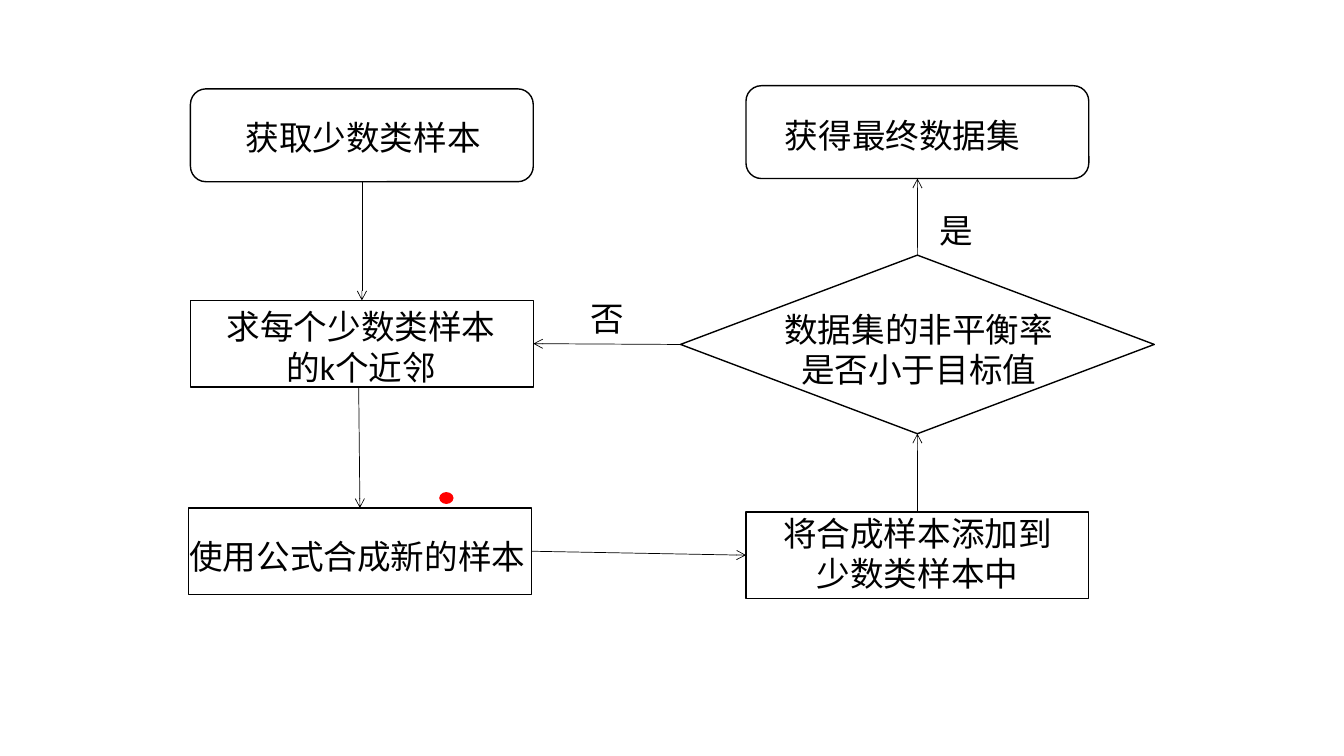
from lxml import etree
from pptx import Presentation
from pptx.dml.color import RGBColor
from pptx.enum.shapes import MSO_CONNECTOR, MSO_SHAPE
from pptx.enum.text import MSO_AUTO_SIZE, PP_ALIGN
from pptx.oxml.ns import qn
from pptx.util import Cm, Pt

STRAIGHT = MSO_CONNECTOR.STRAIGHT
ROUNDED = MSO_SHAPE.ROUNDED_RECTANGLE
RECTANGLE = MSO_SHAPE.RECTANGLE
DIAMOND = MSO_SHAPE.DIAMOND
OVAL = MSO_SHAPE.OVAL
CENTER, LEFT = PP_ALIGN.CENTER, PP_ALIGN.LEFT
FIT_SHAPE = MSO_AUTO_SIZE.SHAPE_TO_FIT_TEXT

BLACK = RGBColor(0x00, 0x00, 0x00)
RED = RGBColor(0xFF, 0x00, 0x00)

TOP_SIDE, LEFT_SIDE, BOTTOM_SIDE, RIGHT_SIDE = range(4)

FONT = "Calibri"
FONT_SIZE = 24
CHARACTER_WIDTH = FONT_SIZE / 72 * 2.54
LINE_HEIGHT = 1.02
SIDE_MARGINS, END_MARGINS = 0.51, 0.25
STEP_WIDTH, STEP_HEIGHT, TERMINAL_HEIGHT = 8.64, 2.18, 2.34


def add_node(slide, kind, left, top, width, height):
    """Add an outlined flowchart node without fill."""
    node = slide.shapes.add_shape(kind, Cm(left), Cm(top), Cm(width), Cm(height))
    node.shadow.inherit = False
    node.fill.background()
    node.line.color.rgb = BLACK
    node.line.width = Pt(1)
    return node


def add_terminal(slide, left, top):
    return add_node(slide, ROUNDED, left, top, STEP_WIDTH, TERMINAL_HEIGHT)


def add_step(slide, left, top):
    return add_node(slide, RECTANGLE, left, top, STEP_WIDTH, STEP_HEIGHT)


def add_label(slide, left, top, *lines):
    """Add a text box sized by its full-width characters and lines."""
    width = SIDE_MARGINS + CHARACTER_WIDTH * max(map(len, lines))
    height = END_MARGINS + LINE_HEIGHT * len(lines)
    box = slide.shapes.add_textbox(Cm(left), Cm(top), Cm(width), Cm(height))
    frame = box.text_frame
    frame.word_wrap = False
    frame.auto_size = FIT_SHAPE
    frame.text = "\n".join(lines)
    for para in frame.paragraphs:
        para.alignment = CENTER if len(lines) > 1 else LEFT
        para.font.name = FONT
        para.font.size = Pt(FONT_SIZE)
        para.font.color.rgb = BLACK


def add_arrow(slide, target, target_side, source=None, source_side=None, start=(0, 0)):
    """Add an arrow to a node, from another node or from a free start point."""
    x, y = map(Cm, start)
    arrow = slide.shapes.add_connector(STRAIGHT, x, y, x, y)
    if source is not None:
        arrow.begin_connect(source, source_side)
    arrow.end_connect(target, target_side)
    arrow.line.color.rgb = BLACK
    arrow.line.width = Pt(0.5)
    etree.SubElement(arrow.line._get_or_add_ln(), qn("a:tailEnd"), type="arrow")
    etree.SubElement(arrow._element.spPr, qn("a:effectLst"))


def add_dot(slide, left, top, width, height):
    dot = add_node(slide, OVAL, left, top, width, height)
    dot.fill.solid()
    dot.fill.fore_color.rgb = RED
    dot.line.fill.background()


def main():
    deck = Presentation()
    deck.slide_width, deck.slide_height = Cm(33.87), Cm(19.05)
    slide = deck.slides.add_slide(deck.slide_layouts[6])

    # Flowchart nodes
    samples = add_terminal(slide, 4.8, 2.24)
    neighbours = add_step(slide, 4.8, 7.57)
    synthesis = add_step(slide, 4.75, 12.8)
    addition = add_step(slide, 18.8, 12.9)
    decision = add_node(slide, DIAMOND, 17.15, 6.43, 11.94, 4.5)
    result = add_terminal(slide, 18.8, 2.16)

    # Arrows
    add_arrow(slide, neighbours, TOP_SIDE, samples, BOTTOM_SIDE)
    add_arrow(slide, synthesis, TOP_SIDE, start=(9.04, 9.75))
    add_arrow(slide, addition, LEFT_SIDE, synthesis, RIGHT_SIDE)
    add_arrow(slide, decision, BOTTOM_SIDE, addition, TOP_SIDE)
    add_arrow(slide, neighbours, RIGHT_SIDE, decision, LEFT_SIDE)
    add_arrow(slide, result, BOTTOM_SIDE, decision, TOP_SIDE)

    # Node texts
    add_label(slide, 5.94, 2.82, "获取少数类样本")
    add_label(slide, 5.46, 7.59, "求每个少数类样本", "的k个近邻")
    add_label(slide, 4.52, 13.39, "使用公式合成新的样本")
    add_label(slide, 19.48, 12.8, "将合成样本添加到", "少数类样本中")
    add_label(slide, 19.51, 7.65, "数据集的非平衡率", "是否小于目标值")
    add_label(slide, 19.53, 2.77, "获得最终数据集")

    # Branch labels
    add_label(slide, 14.63, 7.39, "否")
    add_label(slide, 23.42, 5.16, "是")

    # Red marker
    add_dot(slide, 11.07, 12.4, 0.36, 0.3)

    deck.save("out.pptx")


if __name__ == "__main__":
    main()
